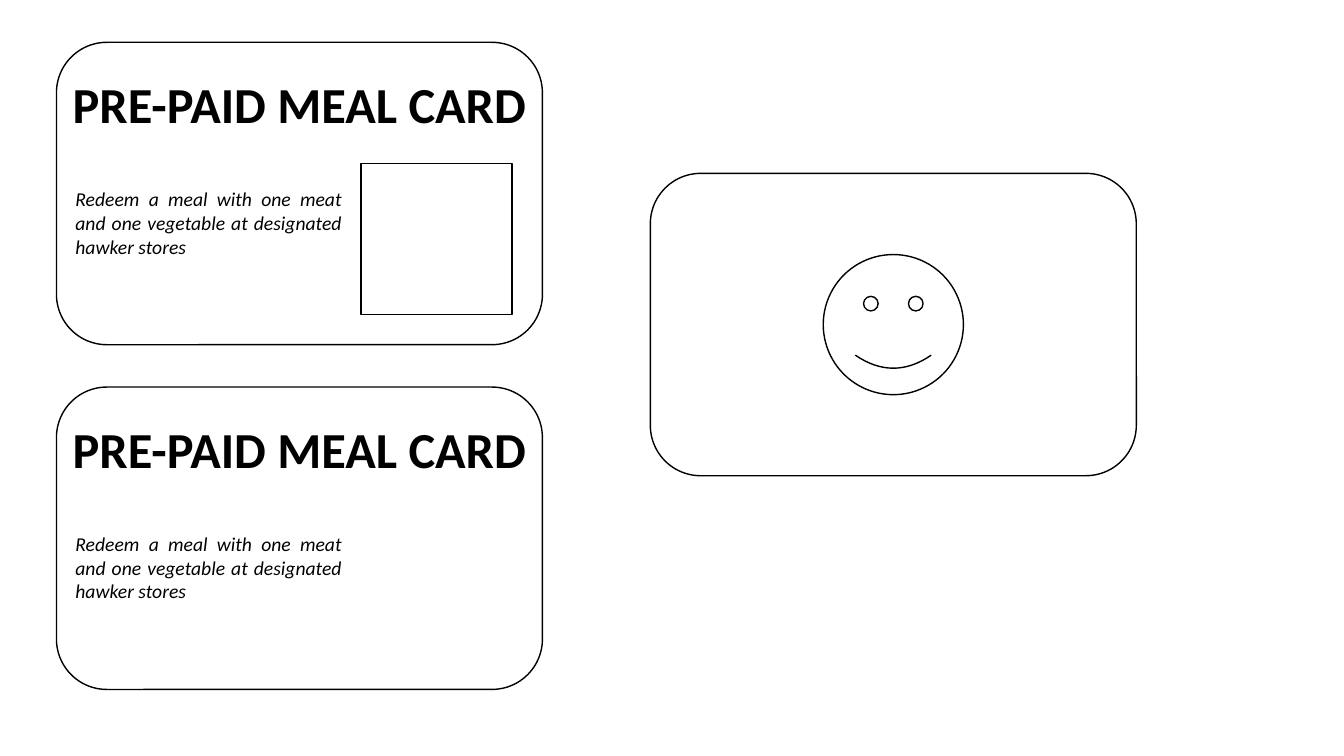
from lxml.etree import SubElement
from pptx import Presentation
from pptx.dml.color import RGBColor
from pptx.enum.shapes import MSO_SHAPE as SHAPE
from pptx.enum.text import MSO_AUTO_SIZE as AUTO, PP_ALIGN as ALIGN
from pptx.oxml.ns import qn
from pptx.util import Inches, Pt

COLORS = {"ink": "000000", "outline": "FFFFFF"}
CARD_W, CARD_H = 4.82, 3
TITLE = "PRE-PAID MEAL CARD"
TERMS = "Redeem a meal with one meat and one vegetable at designated hawker stores"


def add_outline_shape(shapes, kind, x, y, w, h):
    """Add an unfilled shape with a thin dark line."""
    sp = shapes.add_shape(kind, Inches(x), Inches(y), Inches(w), Inches(h))
    sp.shadow.inherit = False
    sp.fill.background()
    sp.line.color.rgb = RGBColor.from_string(COLORS["ink"])
    sp.line.width = Pt(1)


def add_text(shapes, text, x, y, w, h, size, align, bold=False, italic=False):
    """Add a one-paragraph text box and return its run."""
    sp = shapes.add_textbox(Inches(x), Inches(y), Inches(w), Inches(h))
    tf = sp.text_frame
    tf.word_wrap = True
    tf.auto_size = AUTO.SHAPE_TO_FIT_TEXT
    tf.text = text
    p = tf.paragraphs[0]
    p.alignment = align
    r = p.runs[0]
    r.font.name = "Calibri"
    r.font.size = Pt(size)
    r.font.bold = bold
    r.font.italic = italic
    r.font.color.rgb = RGBColor.from_string(COLORS["ink"])
    return r


def outline_text(r):
    """Give a run a thin light outline."""
    rPr = r.font._element
    ln = SubElement(rPr, qn("a:ln"), w=str(Pt(1)))
    fill = SubElement(ln, qn("a:solidFill"))
    SubElement(fill, qn("a:srgbClr"), val=COLORS["outline"])
    rPr.insert(0, ln)


def add_card_back(shapes, x, y):
    """Draw the back of the card with a centred smiley."""
    face = 1.39
    add_outline_shape(shapes, SHAPE.ROUNDED_RECTANGLE, x, y, CARD_W, CARD_H)
    add_outline_shape(shapes, SHAPE.SMILEY_FACE, x + (CARD_W - face) / 2,
                      y + (CARD_H - face) / 2, face, face)


def add_card_front(shapes, x, y, stamp_box=False):
    """Draw the front of the card, optionally with a square stamp box."""
    add_outline_shape(shapes, SHAPE.ROUNDED_RECTANGLE, x, y, CARD_W, CARD_H)
    title = add_text(shapes, TITLE, x, y + 0.26, CARD_W, 0.71, 36,
                     ALIGN.CENTER, bold=True)
    outline_text(title)
    add_text(shapes, TERMS, x + 0.09, y + 1.39, 2.84, 0.81, 14,
             ALIGN.JUSTIFY, italic=True)
    if stamp_box:
        add_outline_shape(shapes, SHAPE.RECTANGLE, x + 3.02, y + 1.2, 1.5, 1.5)


def main():
    """Build the meal card slide and save it."""
    prs = Presentation()
    prs.slide_width, prs.slide_height = Inches(13.33), Inches(7.5)
    shapes = prs.slides.add_slide(prs.slide_layouts[6]).shapes
    add_card_back(shapes.add_group_shape().shapes, 6.45, 1.72)
    add_card_front(shapes, 0.56, 0.42, stamp_box=True)
    add_card_front(shapes.add_group_shape().shapes, 0.56, 3.84)
    prs.save("out.pptx")


if __name__ == "__main__":
    main()
